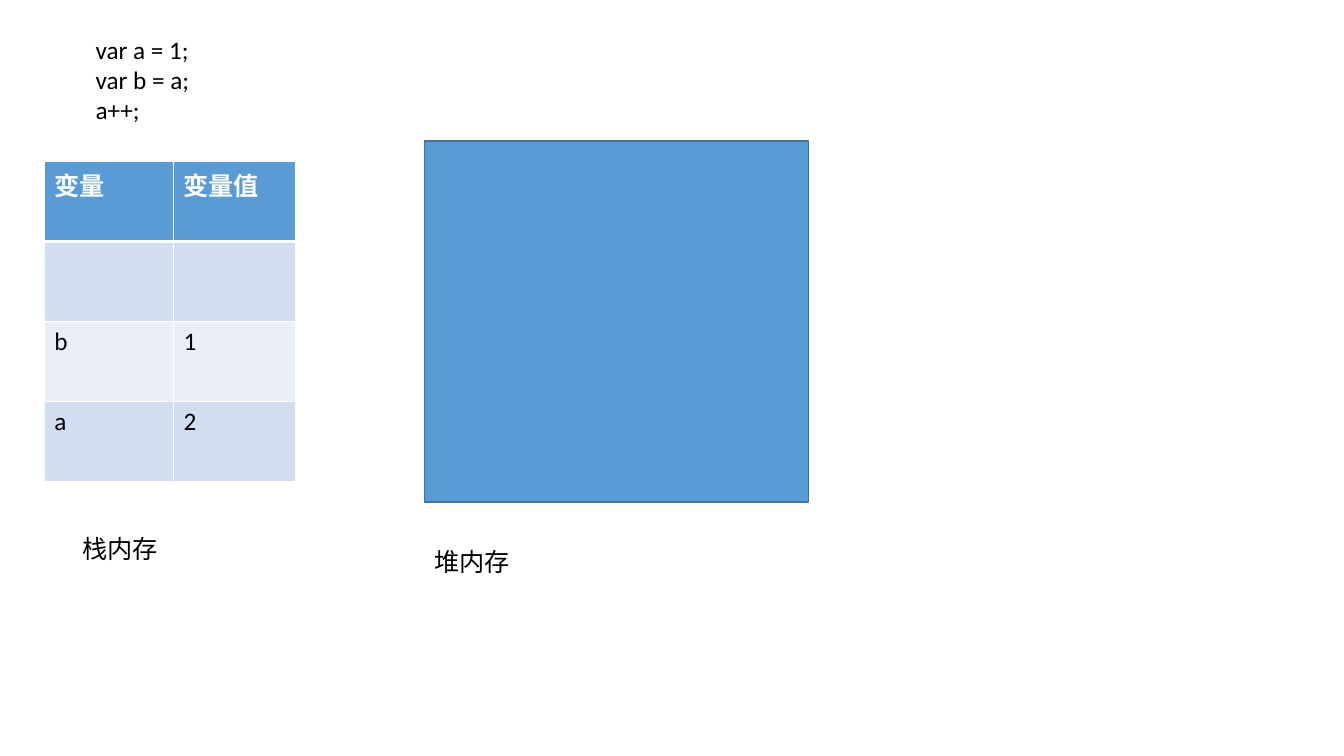
from pptx import Presentation
from pptx.dml.color import RGBColor
from pptx.enum.shapes import MSO_SHAPE
from pptx.oxml import parse_xml
from pptx.oxml.ns import nsdecls
from pptx.util import Inches, Pt

RECTANGLE = MSO_SHAPE.RECTANGLE
BLUE, DARK_BLUE, WHITE, BLACK = "5B9BD5", "43739E", "FFFFFF", "000000"
BANDS = ["D2DEEF", "EAEFF7"]


def rgb(value):
    return RGBColor.from_string(value)


def write(frame, text, size=18, color=BLACK, bold=False, font="Calibri"):
    frame.word_wrap = True
    frame.text = text
    for paragraph in frame.paragraphs:
        paragraph.font.size = Pt(size)
        paragraph.font.name = font
        paragraph.font.bold = bold
        paragraph.font.color.rgb = rgb(color)


presentation = Presentation()
presentation.slide_width = Inches(13.33)
presentation.slide_height = Inches(7.5)
slide = presentation.slides.add_slide(presentation.slide_layouts[6])

# Stack memory: variables and their values
variables = [("变量", "变量值"), ("", ""), ("b", "1"), ("a ", "2")]
stack = slide.shapes.add_table(
    len(variables), 2, Inches(0.44), Inches(1.6), Inches(2.49), Inches(3.18)
).table
for column, width in zip(stack.columns, (1.28, 1.21)):
    column.width = Inches(width)

for row, values in enumerate(variables):
    header = row == 0
    for column, value in enumerate(values):
        cell = stack.cell(row, column)
        write(cell.text_frame, value, color=WHITE if header else BLACK, bold=header)
        # White borders, thicker between the header and the body
        for side in "LRTB":
            thick = (header and side == "B") or (row == 1 and side == "T")
            cell._tc.get_or_add_tcPr().append(parse_xml(
                f'<a:ln{side} {nsdecls("a")} w="{Pt(3 if thick else 1)}">'
                f'<a:solidFill><a:srgbClr val="{WHITE}"/></a:solidFill></a:ln{side}>'
            ))
        cell.fill.solid()
        cell.fill.fore_color.rgb = rgb(BLUE if header else BANDS[(row - 1) % 2])

# Heap memory: empty block
heap = slide.shapes.add_shape(
    RECTANGLE, Inches(4.21), Inches(1.4), Inches(3.81), Inches(3.58)
)
heap.shadow.inherit = False
heap.fill.solid()
heap.fill.fore_color.rgb = rgb(BLUE)
heap.line.color.rgb = rgb(DARK_BLUE)
heap.line.width = Pt(1)

# Memory labels and the code
for text, left, top, width, height in [
    ("栈内存", 0.72, 5.24, 2.93, 0.4),
    ("堆内存", 4.21, 5.37, 2.49, 0.4),
    ("var a = 1;\nvar b = a;\na++;", 0.85, 0.29, 3.78, 1.01),
]:
    label = slide.shapes.add_textbox(
        Inches(left), Inches(top), Inches(width), Inches(height)
    )
    write(label.text_frame, text)

presentation.save("out.pptx")
